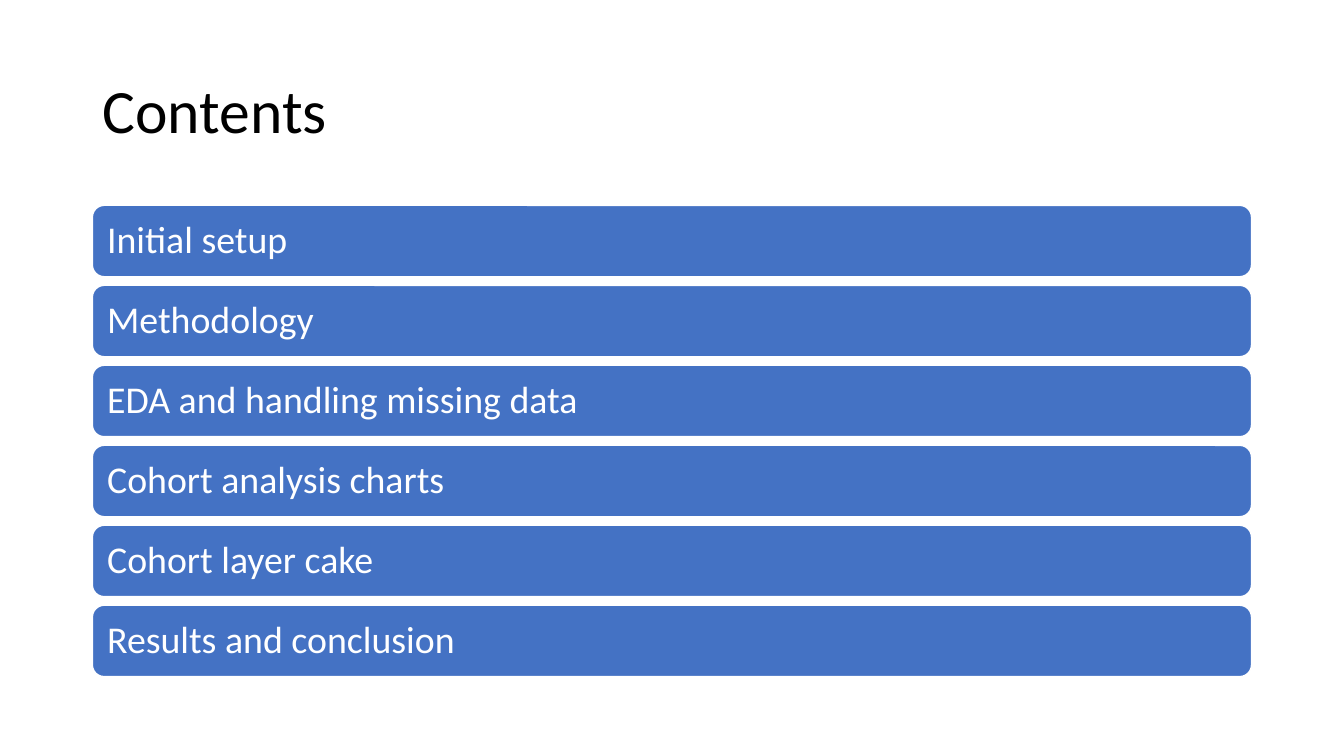
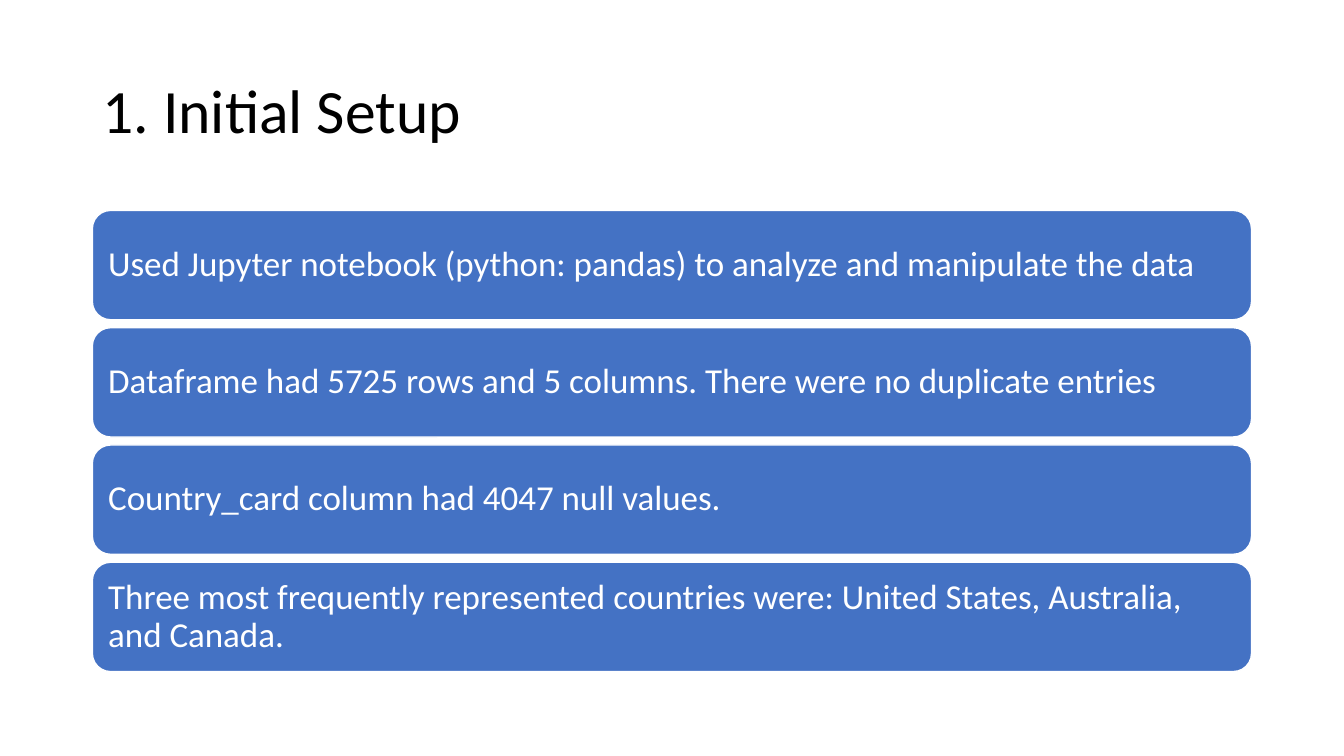
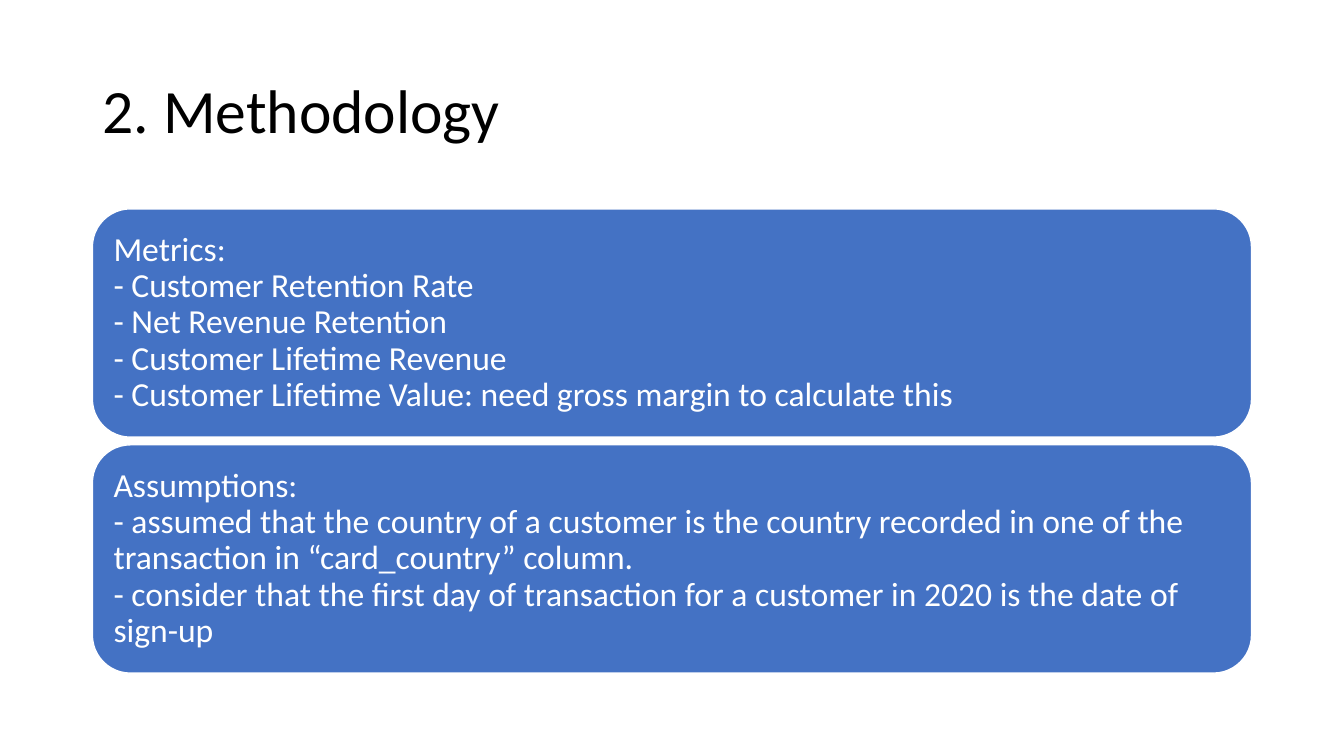
from pptx import Presentation
from pptx.dml.color import RGBColor
from pptx.enum.shapes import MSO_SHAPE as Shape
from pptx.enum.text import MSO_ANCHOR as Anchor, MSO_AUTO_SIZE as Fit, PP_ALIGN as Align
from pptx.util import Pt

BLACK = RGBColor(0x00, 0x00, 0x00)
WHITE = RGBColor(0xFF, 0xFF, 0xFF)
BLUE = RGBColor(0x44, 0x72, 0xC4)
FACE = "Calibri"

# Boxes in points: left, top, width, height
TITLE = (66, 28.8, 828, 104.4)
BODY = (66, 143.75, 828, 342.5)
GAP = 0.227    # between bars, as a share of the text size
INSET = 0.3    # inside a bar, as a share of the text size

# Title, text size, bar height, bars (each a list of lines)
PAGES = [
    ("Contents", 27, 51, [
        ["Initial setup"],
        ["Methodology"],
        ["EDA and handling missing data"],
        ["Cohort analysis charts"],
        ["Cohort layer cake"],
        ["Results and conclusion"],
    ]),
    ("1. Initial Setup", 25, 78.1, [
        ["Used Jupyter notebook (python: pandas) to analyze and manipulate the data"],
        ["Dataframe had 5725 rows and 5 columns. There were no duplicate entries"],
        ["Country_card column had 4047 null values."],
        ["Three most frequently represented countries were: "
         "United States, Australia, and Canada."],
    ]),
    ("2. Methodology", 24, 163.1, [
        ["Metrics:",
         "- Customer Retention Rate",
         "- Net Revenue Retention",
         "- Customer Lifetime Revenue",
         "- Customer Lifetime Value: need gross margin to calculate this"],
        ["Assumptions:",
         "- assumed that the country of a customer is the country recorded "
         "in one of the transaction in “card_country” column.",
         "- consider that the first day of transaction for a customer in 2020 "
         "is the date of sign-up"],
    ]),
]


def apply(item, values):
    for name, value in values.items():
        setattr(item, name, value)


def place(shape, box):
    names = ("left", "top", "width", "height")
    apply(shape, dict(zip(names, map(Pt, box))))


def write(frame, lines, size, color):
    """Fill a text frame with one left-aligned paragraph per line."""
    frame.text = "\n".join(lines)
    apply(frame, {"word_wrap": True, "auto_size": Fit.NONE,
                  "vertical_anchor": Anchor.MIDDLE})
    for para in frame.paragraphs:
        apply(para, {"alignment": Align.LEFT, "line_spacing": 0.9,
                     "space_before": Pt(0)})
        for run in para.runs:
            apply(run.font, {"name": FACE, "size": Pt(size)})
            run.font.color.rgb = color


def add_bar(slide, box, lines, size):
    bar = slide.shapes.add_shape(Shape.ROUNDED_RECTANGLE, *map(Pt, box))
    bar.shadow.inherit = False
    bar.fill.solid()
    bar.fill.fore_color.rgb = BLUE
    bar.line.color.rgb = WHITE
    bar.line.width = Pt(1)
    sides = ("margin_left", "margin_top", "margin_right", "margin_bottom")
    apply(bar.text_frame, dict.fromkeys(sides, Pt(INSET * size)))
    write(bar.text_frame, lines, size, WHITE)


def add_stack(slide, box, bars, size, high):
    """Stack equal bars, centred vertically in the box."""
    left, top, width, height = box
    step = high + GAP * size
    first = top + (height - step * len(bars) + GAP * size) / 2
    for row, lines in enumerate(bars):
        add_bar(slide, (left, first + row * step, width, high), lines, size)


def add_page(deck, layout, title, size, high, bars):
    slide = deck.slides.add_slide(layout)
    write(slide.shapes.title.text_frame, [title], 44, BLACK)
    add_stack(slide, BODY, bars, size, high)


def main():
    deck = Presentation()
    apply(deck, {"slide_width": Pt(960), "slide_height": Pt(540)})
    layout = deck.slide_layouts.get_by_name("Title Only")
    place(layout.placeholders[0], TITLE)
    for page in PAGES:
        add_page(deck, layout, *page)
    deck.save("out.pptx")


if __name__ == "__main__":
    main()
